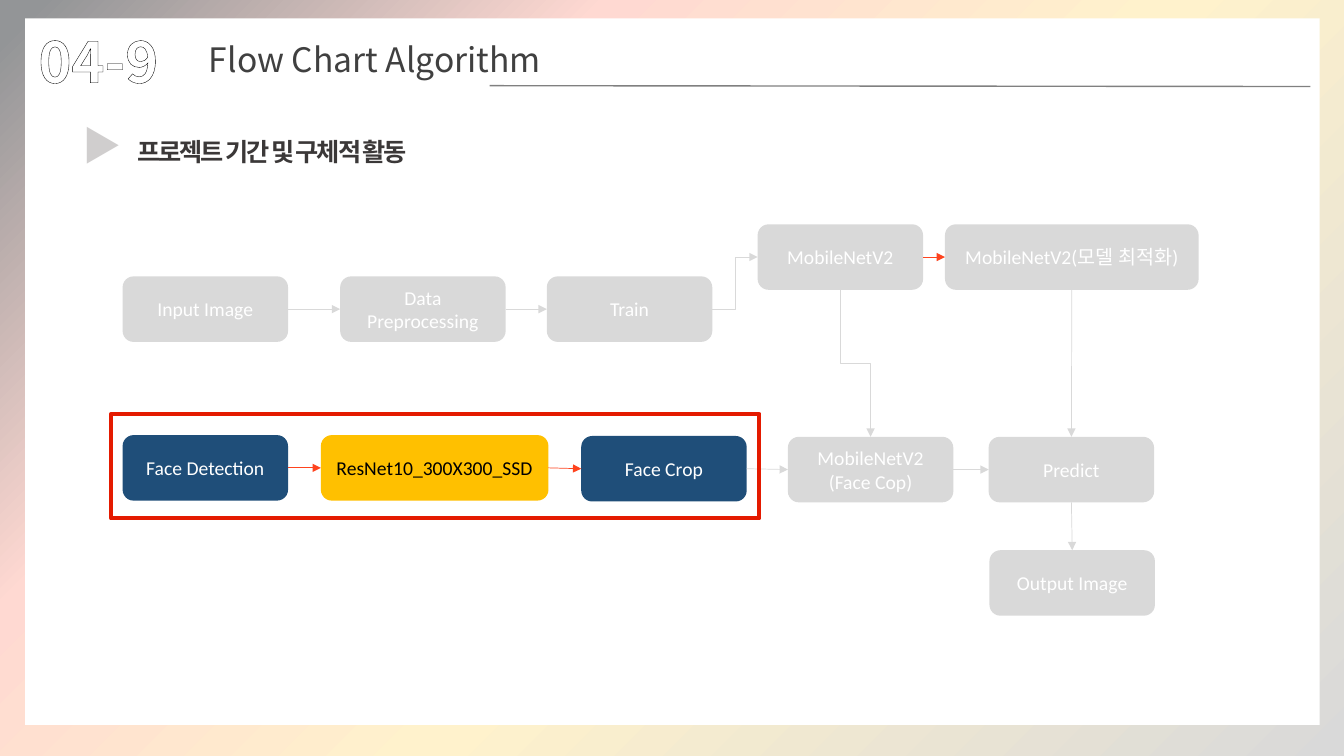
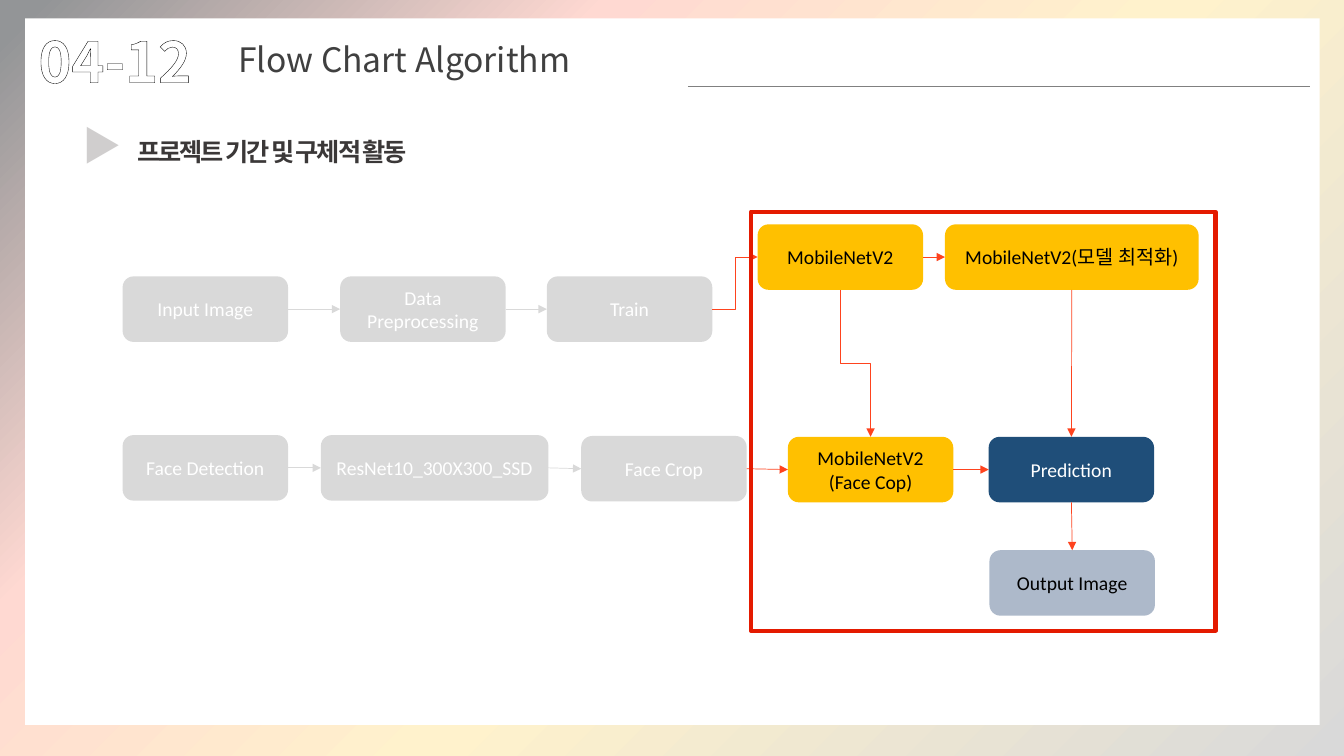
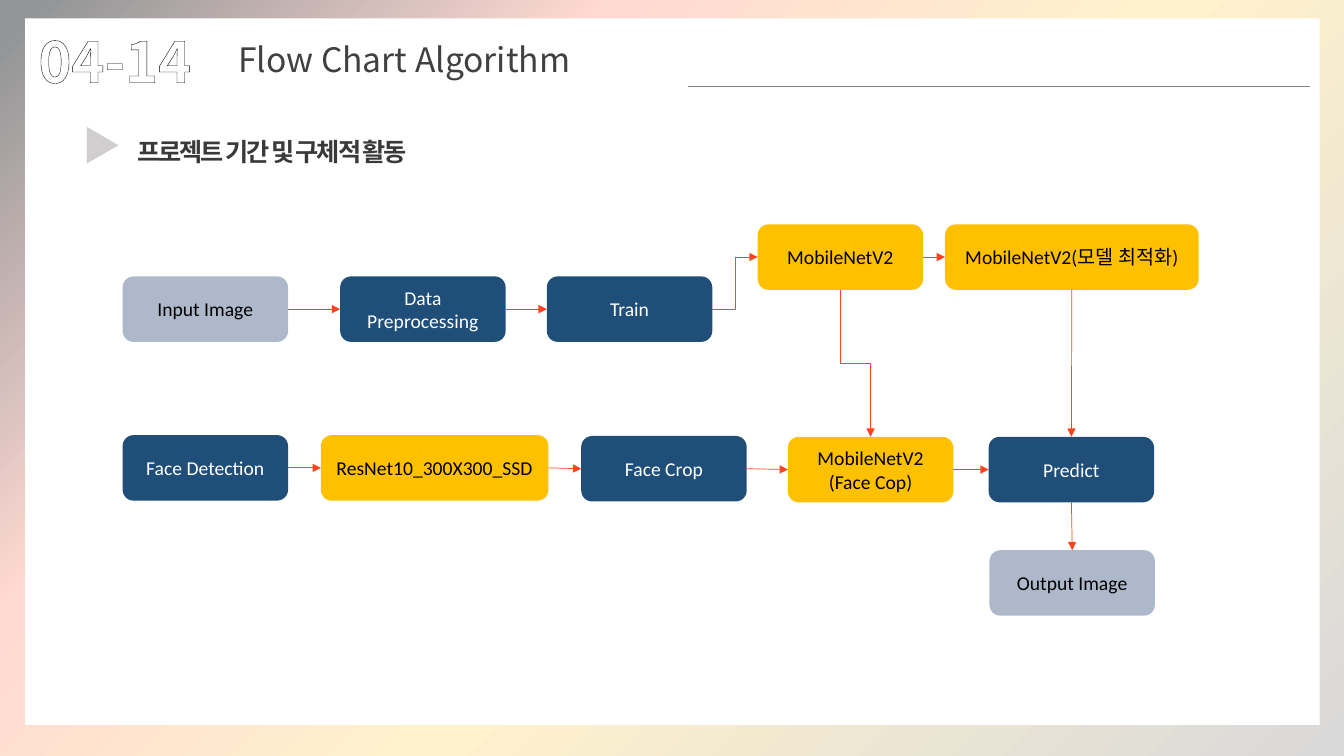
from pptx import Presentation
from pptx.dml.color import RGBColor
from pptx.enum.dml import MSO_PATTERN
from pptx.enum.shapes import MSO_CONNECTOR, MSO_SHAPE
from pptx.enum.text import MSO_ANCHOR, PP_ALIGN
from pptx.oxml import parse_xml
from pptx.oxml.ns import nsdecls, qn
from pptx.util import Emu, Inches, Pt
from lxml.etree import SubElement

# Grid of 160 columns by 90 rows; one square cell is 1/12 inch
COLUMNS, ROWS = 160, 90
CELL = Inches(1) // 12

# Style
TITLE_FONT, HEADING_FONT, BOX_FONT = "Noto Sans CJK KR", "Arial", "Calibri"
WHITE, BLACK, RED, MUTED = "FFFFFF", "000000", "FE431E", "D9D9D9"
BACKGROUND_STOPS = ((0, "D9D9D9"), (44, "FFF2CC"), (71, "FFD9D2"), (98, "939597"))
BOX_STYLES = {  # fill, text
    "data": ("ADB9CA", BLACK),
    "step": ("1F4E79", WHITE),
    "model": ("FFC000", BLACK),
    "muted": (MUTED, WHITE),
}
TOP, LEFT, BOTTOM, RIGHT = range(4)  # connection sites of a box

# Flow chart: name -> text, style, left, top, width
BOX_WIDTH, BOX_HEIGHT = 19.7, 7.8
BOXES = {
    "input": ("Input Image", "data", 14.6, 32.9, BOX_WIDTH),
    "preprocessing": ("Data Preprocessing", "step", 40.5, 32.9, BOX_WIDTH),
    "train": ("Train", "step", 65.1, 32.9, BOX_WIDTH),
    "mobilenet": ("MobileNetV2", "model", 90.2, 26.7, BOX_WIDTH),
    "optimized": ("MobileNetV2(모델 최적화)", "model", 112.5, 26.7, 30.2),
    "detection": ("Face Detection", "step", 14.6, 51.8, BOX_WIDTH),
    "resnet": ("ResNet10_300X300_SSD", "model", 38.2, 51.8, 27.1),
    "crop": ("Face Crop", "step", 69.2, 51.9, BOX_WIDTH),
    "face_model": ("MobileNetV2\v(Face Cop)", "model", 93.8, 52, BOX_WIDTH),
    "predict": ("Predict", "step", 117.7, 52, BOX_WIDTH),
    "output": ("Output Image", "data", 117.8, 65.5, BOX_WIDTH),
}
LINKS = (  # source, target, direction, bent
    ("input", "preprocessing", "across", False),
    ("preprocessing", "train", "across", False),
    ("train", "mobilenet", "across", True),
    ("mobilenet", "optimized", "across", False),
    ("detection", "resnet", "across", False),
    ("resnet", "crop", "across", False),
    ("crop", "face_model", "across", False),
    ("face_model", "predict", "across", False),
    ("mobilenet", "face_model", "down", True),
    ("optimized", "predict", "down", False),
    ("predict", "output", "down", False),
)


def color(hex_code):
    return RGBColor.from_string(hex_code)


def cells(*counts):
    return [Emu(round(count * CELL)) for count in counts]


class Deck:
    """Holds the presentation, the current slide and the shared style."""

    def __init__(self):
        self.presentation = Presentation()
        self.presentation.slide_width, self.presentation.slide_height = cells(COLUMNS, ROWS)
        self.slide = None

    def new_slide(self, number, number_width, rule_start):
        self.slide = self.presentation.slides.add_slide(self.presentation.slide_layouts[6])
        self.background()
        self.rectangle(3, 2.2, 154.1, 84.1, fill=WHITE)
        # Header
        run = self.text(number, 3.4, 2.6, number_width, 9.2, TITLE_FONT, 40, bold=True)
        self.hatch(run, "3B3838", WHITE, BLACK, 1.25)
        self.text("Flow Chart Algorithm", number_width + 2.5, 4.1, 55.7, 6,
                  TITLE_FONT, 24, "404040")
        self.line(rule_start, (156, 10.3), "808080", 1)
        # Heading with its marker
        run = self.text("프로젝트 기간 및 구체적 활동", 15.2, 13.9, 136.3, 6,
                        HEADING_FONT, 18, "3B3838", bold=True, line_spacing=1.5)
        run._r.get_or_add_rPr().set("spc", "-150")
        run = self.text("▶", 8.6, 13.8, 6.6, 6.8, TITLE_FONT, 28, bold=True)
        self.hatch(run, "939597", "D0CECE", "939597", 1)

    def background(self):
        stops = "".join(
            f'<a:gs pos="{share * 1000}"><a:srgbClr val="{hex_code}"/></a:gs>'
            for share, hex_code in BACKGROUND_STOPS)
        self.slide.element.cSld.insert(0, parse_xml(
            f'<p:bg {nsdecls("p", "a")}><p:bgPr><a:gradFill rotWithShape="1">'
            f'<a:gsLst>{stops}</a:gsLst><a:path path="circle">'
            '<a:fillToRect l="100000" t="100000"/></a:path></a:gradFill>'
            '<a:effectLst/></p:bgPr></p:bg>'))

    def rectangle(self, left, top, width, height, fill=None, outline=None,
                  preset=MSO_SHAPE.RECTANGLE):
        shape = self.slide.shapes.add_shape(preset, *cells(left, top, width, height))
        shape.shadow.inherit = False
        if fill:
            shape.fill.solid()
            shape.fill.fore_color.rgb = color(fill)
        else:
            shape.fill.background()
        if outline:
            shape.line.color.rgb = color(outline)
            shape.line.width = Pt(3)
        else:
            shape.line.fill.background()
        return shape

    def text(self, words, left, top, width, height, font_name, size,
             font_color=None, bold=False, line_spacing=None):
        shape = self.slide.shapes.add_textbox(*cells(left, top, width, height))
        shape.text_frame.word_wrap = True
        paragraph = shape.text_frame.paragraphs[0]
        run = paragraph.add_run()
        run.text = words
        paragraph.line_spacing = line_spacing
        self.style(paragraph, font_name, size, font_color, bold)
        return run

    def style(self, paragraph, font_name, size, font_color=None, bold=False):
        font = paragraph.font
        font.name, font.size, font.bold = font_name, Pt(size), bold
        if font_color:
            font.color.rgb = color(font_color)
        # East Asian letters
        properties = paragraph._p.pPr.find(qn("a:defRPr"))
        SubElement(properties, qn("a:ea")).set("typeface", TITLE_FONT)

    def hatch(self, run, front, back, outline, width):
        fill = run.font.fill
        fill.patterned()
        fill.pattern = MSO_PATTERN.DARK_UPWARD_DIAGONAL
        fill.fore_color.rgb, fill.back_color.rgb = color(front), color(back)
        run._r.get_or_add_rPr().insert(0, parse_xml(
            f'<a:ln {nsdecls("a")} w="{Pt(width)}"><a:solidFill>'
            f'<a:srgbClr val="{outline}"/></a:solidFill></a:ln>'))

    def line(self, start, end, line_color, width, kind=MSO_CONNECTOR.STRAIGHT):
        connector = self.slide.shapes.add_connector(kind, *cells(*start, *end))
        connector.line.color.rgb = color(line_color)
        connector.line.width = Pt(width)
        SubElement(connector.element.spPr, qn("a:effectLst"))
        return connector

    def box(self, words, style, left, top, width):
        fill, font_color = BOX_STYLES[style]
        shape = self.rectangle(left, top, width, BOX_HEIGHT, fill,
                               preset=MSO_SHAPE.ROUNDED_RECTANGLE)
        shape.text_frame.text = words
        shape.text_frame.word_wrap = True
        shape.text_frame.vertical_anchor = MSO_ANCHOR.MIDDLE
        paragraph = shape.text_frame.paragraphs[0]
        paragraph.alignment = PP_ALIGN.CENTER
        self.style(paragraph, BOX_FONT, 14, font_color)
        return shape

    def link(self, source, target, direction, bent, line_color):
        kind = MSO_CONNECTOR.ELBOW if bent else MSO_CONNECTOR.STRAIGHT
        connector = self.line((0, 0), (1, 1), line_color, 0.5, kind)
        leaving, entering = (RIGHT, LEFT) if direction == "across" else (BOTTOM, TOP)
        connector.begin_connect(source, leaving)
        connector.end_connect(target, entering)
        arrowhead = SubElement(connector.element.spPr.find(qn("a:ln")), qn("a:tailEnd"))
        arrowhead.set("type", "triangle")
        if bent and direction == "down":
            self.turn_down(connector)

    def turn_down(self, connector):
        """Turn an elbow so that it leaves and arrives vertically."""
        width, height = connector.width, connector.height
        connector.left += (width - height) // 2
        connector.top += (height - width) // 2
        connector.width, connector.height = height, width
        transform = connector.element.spPr.xfrm
        transform.set("rot", str(270 * 60000))
        transform.set("flipH", "1")

    def flow_chart(self, active, extra_links=(), renamed=None):
        """Colour the active boxes and the links that lead to them."""
        shapes = {}
        for name, (words, style, *place) in BOXES.items():
            words = (renamed or {}).get(name, words)
            shapes[name] = self.box(words, style if name in active else "muted", *place)
        for source, target, direction, bent in LINKS:
            lit = target in active or (source, target) in extra_links
            self.link(shapes[source], shapes[target], direction, bent, RED if lit else MUTED)

    def highlight(self, left, top, width, height):
        self.rectangle(left, top, width, height, outline="E41A00")


def main():
    deck = Deck()

    # Face detection stage
    deck.new_slide("04-9", 21.2, (58.3, 10.2))
    deck.flow_chart({"detection", "resnet", "crop"}, {("mobilenet", "optimized")})
    deck.highlight(13.2, 49.3, 77.2, 12.4)

    # Prediction stage
    deck.new_slide("04-12", 24.7, (81.9, 10.3))
    deck.flow_chart({"mobilenet", "optimized", "face_model", "predict", "output"},
                    renamed={"predict": "Prediction"})
    deck.highlight(89.4, 25.2, 55.3, 49.9)

    # Whole flow
    deck.new_slide("04-14", 24.7, (81.9, 10.3))
    deck.flow_chart(set(BOXES))

    deck.presentation.save("out.pptx")


if __name__ == "__main__":
    main()
